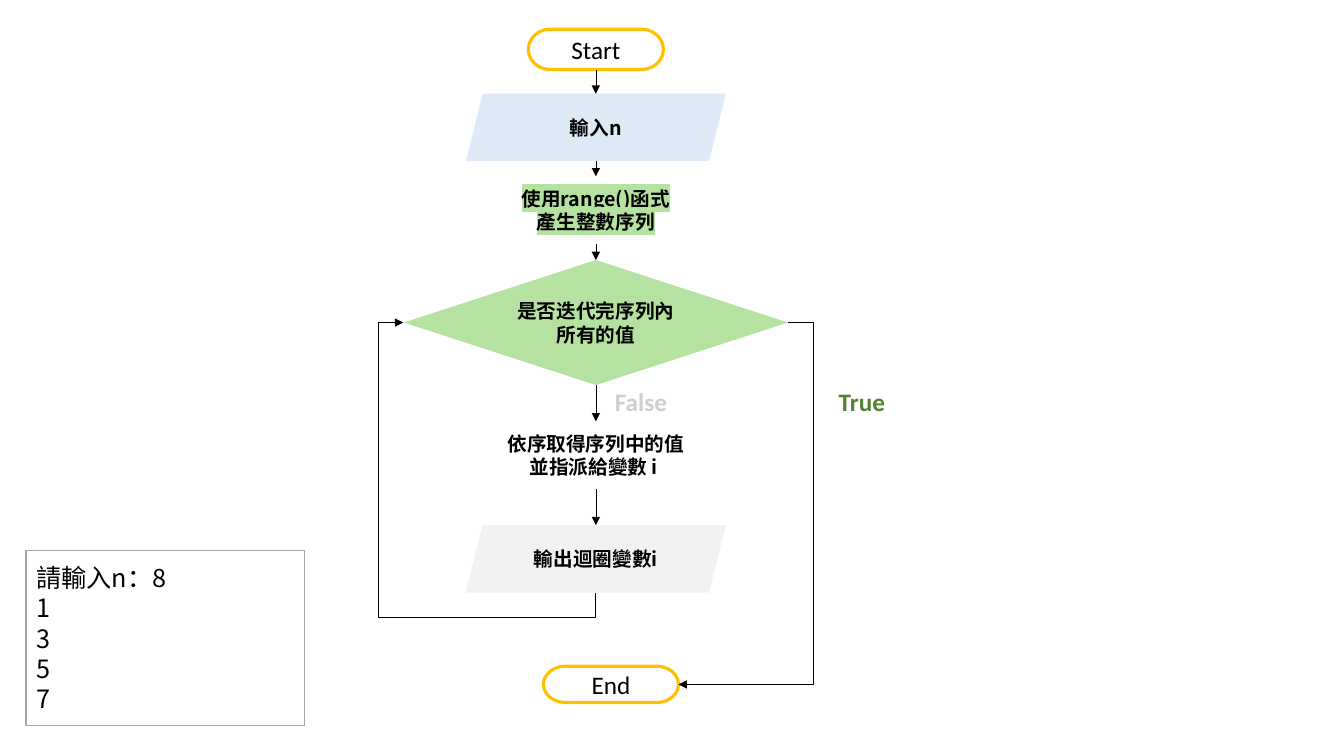
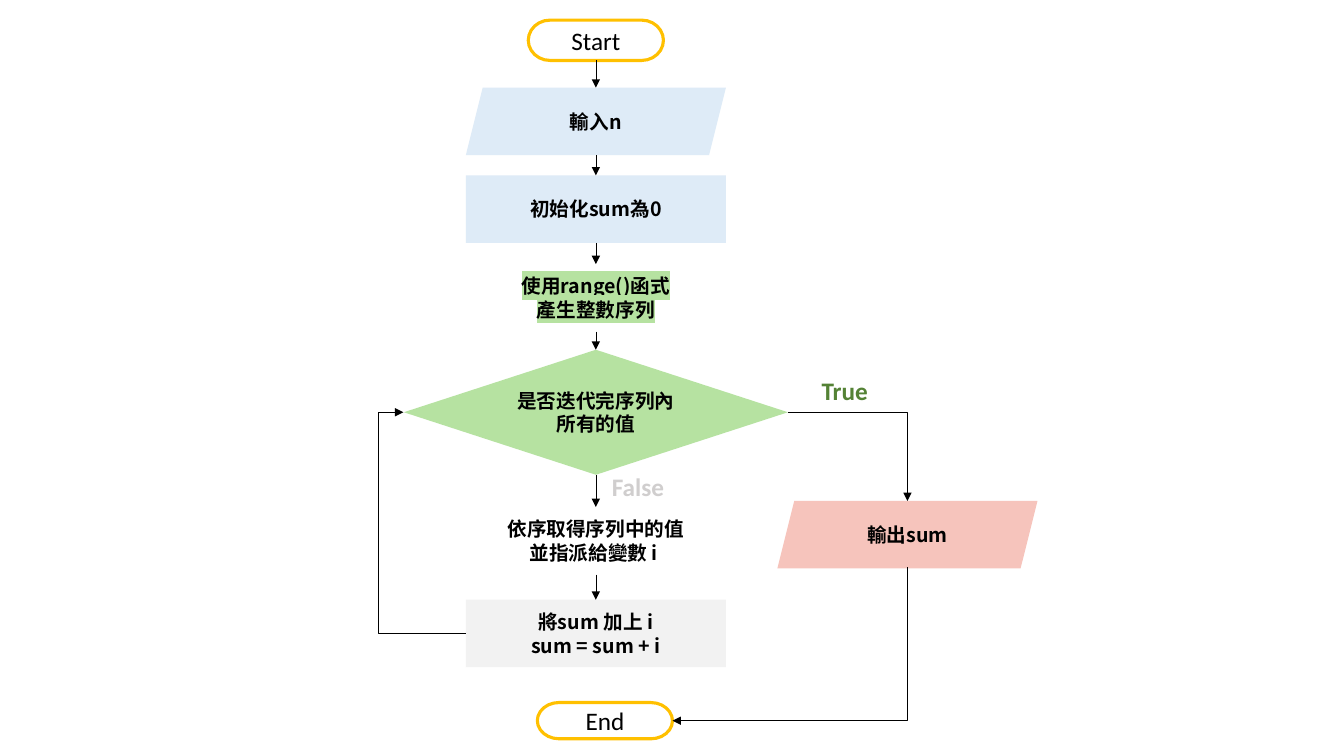
"""Builds two flowchart slides about Python for loops over range()."""
from itertools import pairwise

from lxml.etree import SubElement
from pptx import Presentation
from pptx.dml.color import RGBColor
from pptx.enum.shapes import MSO_CONNECTOR, MSO_SHAPE
from pptx.enum.text import MSO_ANCHOR, PP_ALIGN
from pptx.oxml.ns import qn
from pptx.util import Inches, Pt

BLACK, WHITE, GOLD, GRAY = "000000", "FFFFFF", "FFC000", "A5A5A5"
BLUE, GREEN, PALE, PINK = "DEEBF7", "B6E2A1", "F2F2F2", "F6C4BC"
CJK, LATIN = "Noto Sans CJK SC", "Calibri"
AXIS = 5.91

STEP = {"size": 14, "bold": True, "name": CJK}
PLAIN = {"size": 18, "bold": False, "name": CJK}
TERMINAL = {"size": 18, "bold": False, "name": LATIN}
LABEL = {"size": 18, "bold": True, "name": LATIN}

KINDS = {
    "start": (MSO_SHAPE.FLOWCHART_TERMINATOR, 1.34, 0.4, TERMINAL),
    "end": (MSO_SHAPE.FLOWCHART_TERMINATOR, 1.34, 0.36, TERMINAL),
    "data": (MSO_SHAPE.PARALLELOGRAM, 2.58, 0.67, STEP),
    "process": (MSO_SHAPE.RECTANGLE, 2.58, 0.67, STEP),
    "decision": (MSO_SHAPE.DIAMOND, 3.81, 1.24, STEP),
    "note": (None, 2.41, 0.67, STEP),
    "console": (MSO_SHAPE.RECTANGLE, 2.76, 1.74, PLAIN),
}
BORDERS = {"start": (GOLD, 2.25), "end": (GOLD, 2.25), "console": (GRAY, 1)}

START, INPUT = ("start", "Start", WHITE), ("data", "輸入n", BLUE)
RANGE = ("note", "使用range()函式\n產生整數序列", GREEN)
TEST = ("decision", "是否迭代完序列內所有的值", GREEN)
TAKE = ("note", "依序取得序列中的值\n並指派給變數 i ", None)
END = ("end", "End", WHITE)

SLIDES = [
    {
        "chain": [
            (START, 0.29), (INPUT, 0.93), (RANGE, 1.75), (TEST, 2.58),
            (TAKE, 4.18), (("data", "輸出迴圈變數i", PALE), 5.21),
        ],
        "others": [
            (END, 6.06, 6.61),
            (("console", "請輸入n：8\n1\n3\n5\n7", WHITE), 1.64, 5.46),
        ],
        "labels": [("False", 6, 3.78, "D0CECE"), ("True", 8.22, 3.78, "548235")],
        "elbows": [
            ((AXIS, 5.88), (4, 3.2), 4, True, (-0.09, 1.13)),
            ((7.82, 3.2), (6.73, 6.79), 3, False, (-0.23,)),
        ],
    },
    {
        "chain": [
            (START, 0.2), (INPUT, 0.87), (("process", "初始化sum為0", BLUE), 1.74),
            (RANGE, 2.62), (TEST, 3.47), (TAKE, 5.03),
            (("process", "將sum 加上 i\nsum = sum + i", PALE), 5.95),
        ],
        "others": [(END, 6, 6.97), (("data", "輸出sum", PINK), 9, 4.97)],
        "labels": [("False", 5.97, 4.63, "D0CECE"), ("True", 8.05, 3.67, "548235")],
        "elbows": [
            ((4.62, 6.28), (4, 4.09), 3, False, (1.4,)),
            ((7.82, 4.09), (9, 4.97), 2, False, ()),
            ((9, 5.63), (6.67, 7.15), 2, True, ()),
        ],
    },
]


def color(value):
    return RGBColor.from_string(value)


def write(frame, text, style, ink=BLACK, align=PP_ALIGN.LEFT, highlight=None):
    frame.word_wrap = True
    for index, line in enumerate(text.split("\n")):
        para = frame.add_paragraph() if index else frame.paragraphs[0]
        para.alignment = align
        span = para.add_run()
        span.text = line
        for key, value in style.items():
            setattr(span.font, key, Pt(value) if key == "size" else value)
        span.font.color.rgb = color(ink)
        props = span.font._element
        latin = props.find(qn("a:latin"))
        east = SubElement(props, qn("a:ea"), typeface=style["name"])
        latin.addnext(east)
        if highlight:
            mark = SubElement(props, qn("a:highlight"))
            SubElement(mark, qn("a:srgbClr"), val=highlight)
            latin.addprevious(mark)


def add_node(page, node, center, top):
    kind, text, fill = node
    preset, width, height, style = KINDS[kind]
    place = [Inches(value) for value in (center - width / 2, top, width, height)]
    if preset is None:
        box = page.shapes.add_textbox(*place)
    else:
        box = page.shapes.add_shape(preset, *place)
        box.shadow.inherit = False
        box.fill.solid()
        box.fill.fore_color.rgb = color(fill)
        if kind in BORDERS:
            border, weight = BORDERS[kind]
            box.line.color.rgb = color(border)
            box.line.width = Pt(weight)
        else:
            box.line.fill.background()
    box.text_frame.vertical_anchor = MSO_ANCHOR.MIDDLE
    align = PP_ALIGN.LEFT if kind == "console" else PP_ALIGN.CENTER
    highlight = None if preset else fill
    write(box.text_frame, text, style, align=align, highlight=highlight)


def add_label(page, text, left, top, ink):
    box = page.shapes.add_textbox(Inches(left), Inches(top), Inches(0.9), Inches(0.4))
    write(box.text_frame, text, LABEL, ink)


def add_arrow(page, start, end, kind=MSO_CONNECTOR.STRAIGHT):
    arrow = page.shapes.add_connector(kind, *map(Inches, (*start, *end)))
    arrow.line.color.rgb = color(BLACK)
    arrow.line.width = Pt(0.5)
    SubElement(arrow.line._get_or_add_ln(), qn("a:tailEnd"), type="triangle")
    SubElement(arrow._element.spPr, qn("a:effectLst"))
    return arrow


def add_elbow(page, start, end, segments, turned, bends):
    if turned:
        middle_x, middle_y = (start[0] + end[0]) / 2, (start[1] + end[1]) / 2
        half_x, half_y = (end[1] - start[1]) / 2, (start[0] - end[0]) / 2
        start = middle_x - half_x, middle_y - half_y
        end = middle_x + half_x, middle_y + half_y
    arrow = add_arrow(page, start, end, MSO_CONNECTOR.ELBOW)
    props = arrow._element.spPr
    if turned:
        props.find(qn("a:xfrm")).set("rot", str(90 * 60000))
    outline = props.find(qn("a:prstGeom"))
    outline.set("prst", f"bentConnector{segments}")
    guides = outline.find(qn("a:avLst"))
    for number, bend in enumerate(bends, 1):
        SubElement(guides, qn("a:gd"), name=f"adj{number}",
                   fmla=f"val {round(bend * 100000)}")


def add_flowchart(page, chart):
    for node, top in chart["chain"]:
        add_node(page, node, AXIS, top)
    for node, center, top in chart["others"]:
        add_node(page, node, center, top)
    for (upper, top), (_, next_top) in pairwise(chart["chain"]):
        add_arrow(page, (AXIS, top + KINDS[upper[0]][2]), (AXIS, next_top))
    for elbow in chart["elbows"]:
        add_elbow(page, *elbow)
    for label in chart["labels"]:
        add_label(page, *label)


def main():
    deck = Presentation()
    deck.slide_width, deck.slide_height = Inches(13.33), Inches(7.5)
    for chart in SLIDES:
        add_flowchart(deck.slides.add_slide(deck.slide_layouts[6]), chart)
    deck.save("out.pptx")


if __name__ == "__main__":
    main()
